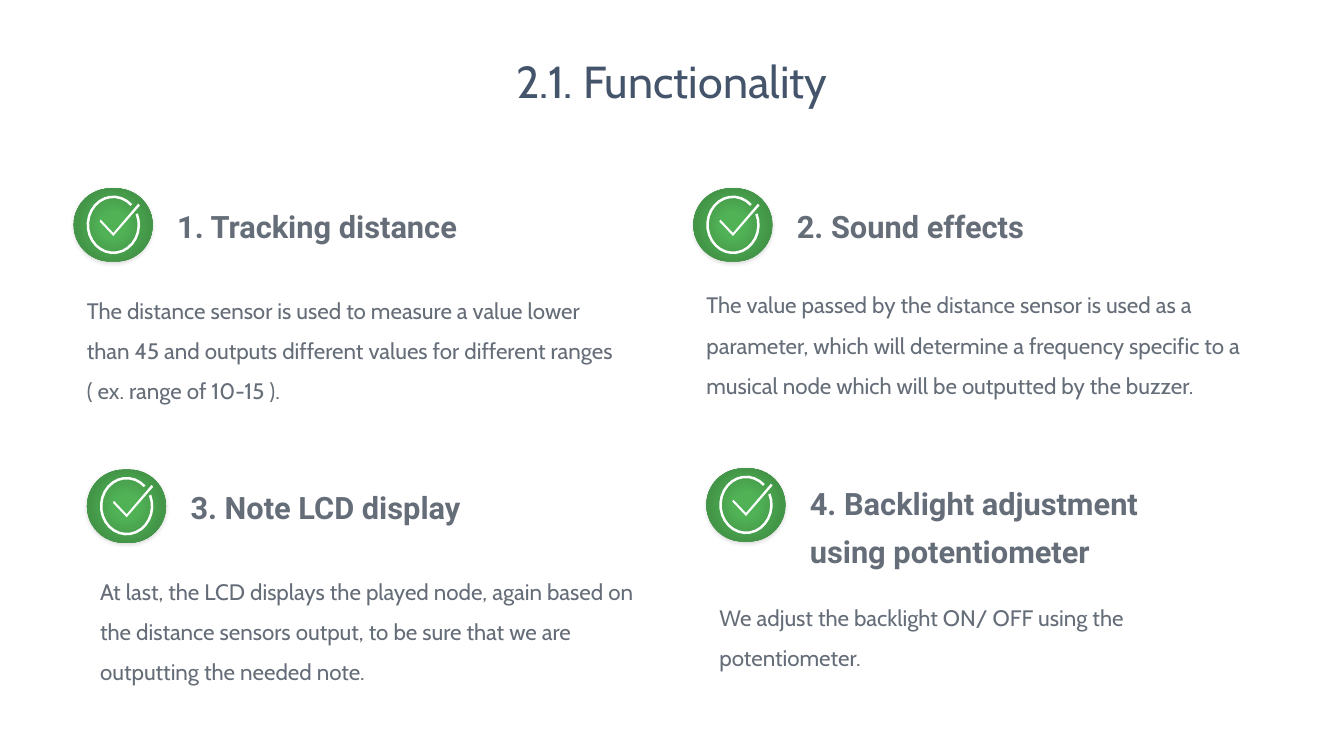
"""Build the Functionality slide with its four ticked features."""
from collections import namedtuple
from math import cos, radians, sin

from pptx import Presentation
from pptx.dml.color import RGBColor
from pptx.enum.shapes import MSO_SHAPE
from pptx.enum.text import MSO_ANCHOR, MSO_AUTO_SIZE, PP_ALIGN
from pptx.oxml import parse_xml
from pptx.oxml.ns import nsdecls
from pptx.util import Pt

WHITE = RGBColor(0xFF, 0xFF, 0xFF)
GREY = RGBColor(0x65, 0x6D, 0x78)
NAVY = RGBColor(0x44, 0x54, 0x6A)
LIGHT_GREEN = RGBColor(0x50, 0xB1, 0x55)
MID_GREEN = RGBColor(0x43, 0x96, 0x47)
DARK_GREEN = RGBColor(0x3E, 0x8C, 0x42)
BADGE_STOPS = [(0, LIGHT_GREEN), (23, LIGHT_GREEN), (69, MID_GREEN), (97, DARK_GREEN)]

RING_ANGLES = range(-23, 316, 13)
TICK = [(-9, -3.7), (0, 5.8), (17.8, -15.1), (19, -13.8), (0, 8), (-9.8, -2.4)]

Feature = namedtuple("Feature", "left top heading_top heading_height body_top heading body")
FEATURES = [
    Feature(52.6, 134.6, 141.8, 31.7, 202.3, "1. Tracking distance",
            "The distance sensor is used to measure a value lower than 45 and outputs "
            "different values for different ranges ( ex. range of 10-15 )."),
    Feature(495.2, 134.6, 141.8, 31.7, 198.7, "2. Sound effects",
            "The value passed by the distance sensor is used as a parameter, which will determine "
            "a frequency specific to a musical node which will be outputted by the buzzer."),
    Feature(62.1, 335.5, 342.7, 31.7, 403.2, "3. Note LCD display",
            "At last, the LCD displays the played node, again based on the distance sensors "
            "output, to be sure that we are outputting the needed note."),
    Feature(504.5, 334.6, 339.8, 66.2, 421.9, "4. Backlight adjustment using potentiometer",
            "We adjust the backlight ON/ OFF using the potentiometer."),
]


def style_font(paragraph, name, size, color, bold=False):
    font = paragraph.font
    font.name, font.size, font.bold = name, Pt(size), bold
    font.color.rgb = color


def add_title(slide, text):
    title = slide.shapes.title
    title.left, title.top, title.width, title.height = Pt(293.8), Pt(34.6), Pt(372.2), Pt(46.1)
    frame = title.text_frame
    frame.text = text
    frame.auto_size = MSO_AUTO_SIZE.NONE
    frame.vertical_anchor = MSO_ANCHOR.TOP
    paragraph = frame.paragraphs[0]
    paragraph.alignment = PP_ALIGN.CENTER
    style_font(paragraph, "Cabin", 32, NAVY)


def add_badge(shapes, left, top):
    badge = shapes.add_shape(MSO_SHAPE.ROUNDED_RECTANGLE, Pt(left), Pt(top), Pt(56.5), Pt(52.2))
    badge.adjustments[0] = 0.5
    badge.line.fill.background()
    badge.fill.gradient()
    badge.shadow.inherit = False
    stops = "".join(f'<a:gs pos="{position * 1000}"><a:srgbClr val="{color}"/></a:gs>'
                    for position, color in BADGE_STOPS)
    gradient = parse_xml(
        f'<a:gradFill {nsdecls("a")} rotWithShape="1"><a:gsLst>{stops}</a:gsLst>'
        '<a:path path="circle"><a:fillToRect l="50000" t="50000" r="50000" b="50000"/></a:path>'
        '</a:gradFill>')
    shadow = parse_xml(
        f'<a:outerShdw {nsdecls("a")} blurRad="{Pt(3)}" dist="{Pt(1)}" dir="5400000" '
        'algn="t" rotWithShape="0"><a:srgbClr val="000000"><a:alpha val="15000"/></a:srgbClr>'
        '</a:outerShdw>')
    properties = badge.element.spPr
    properties.replace(properties.find("{*}gradFill"), gradient)
    properties.find("{*}effectLst").append(shadow)


def ring_points(radius_x, radius_y):
    return [(radius_x * cos(radians(angle)), radius_y * sin(radians(angle)))
            for angle in RING_ANGLES]


def add_check(shapes, center_x, center_y):
    ring = ring_points(19.1, 20.9) + ring_points(17.3, 19.1)[::-1]
    ring, tick = ([(Pt(center_x + x), Pt(center_y + y)) for x, y in outline]
                  for outline in (ring, TICK))
    builder = shapes.build_freeform(*ring[0])
    builder.add_line_segments(ring[1:])
    builder.move_to(*tick[0])
    builder.add_line_segments(tick[1:])
    check = builder.convert_to_shape()
    check.fill.solid()
    check.fill.fore_color.rgb = WHITE
    check.line.fill.background()
    check.shadow.inherit = False


def add_text(shapes, text, left, top, width, height, line_spacing):
    box = shapes.add_textbox(Pt(left), Pt(top), Pt(width), Pt(height))
    frame = box.text_frame
    frame.word_wrap = True
    frame.margin_left = frame.margin_right = frame.margin_top = frame.margin_bottom = 0
    frame.text = text
    paragraph = frame.paragraphs[0]
    paragraph.line_spacing = line_spacing
    return frame, paragraph


def add_feature(slide, feature):
    shapes = slide.shapes.add_group_shape().shapes
    add_badge(shapes, feature.left, feature.top)
    frame, paragraph = add_text(shapes, feature.heading, feature.left + 74, feature.heading_top,
                                281.5, feature.heading_height, 1.3)
    frame.vertical_anchor = MSO_ANCHOR.MIDDLE
    frame.auto_size = MSO_AUTO_SIZE.SHAPE_TO_FIT_TEXT
    style_font(paragraph, "Roboto", 22, GREY, bold=True)
    _, paragraph = add_text(shapes, feature.body, feature.left + 9.4, feature.body_top,
                            383, 118, 1.5)
    paragraph.space_before = Pt(7.5)
    style_font(paragraph, "Cabin", 16, GREY)
    add_check(shapes, feature.left + 28.4, feature.top + 26)


def main():
    presentation = Presentation()
    presentation.slide_width, presentation.slide_height = Pt(960), Pt(540)
    slide = presentation.slides.add_slide(presentation.slide_layouts[5])
    add_title(slide, "2.1. Functionality")
    for feature in FEATURES:
        add_feature(slide, feature)
    presentation.save("out.pptx")


if __name__ == "__main__":
    main()
